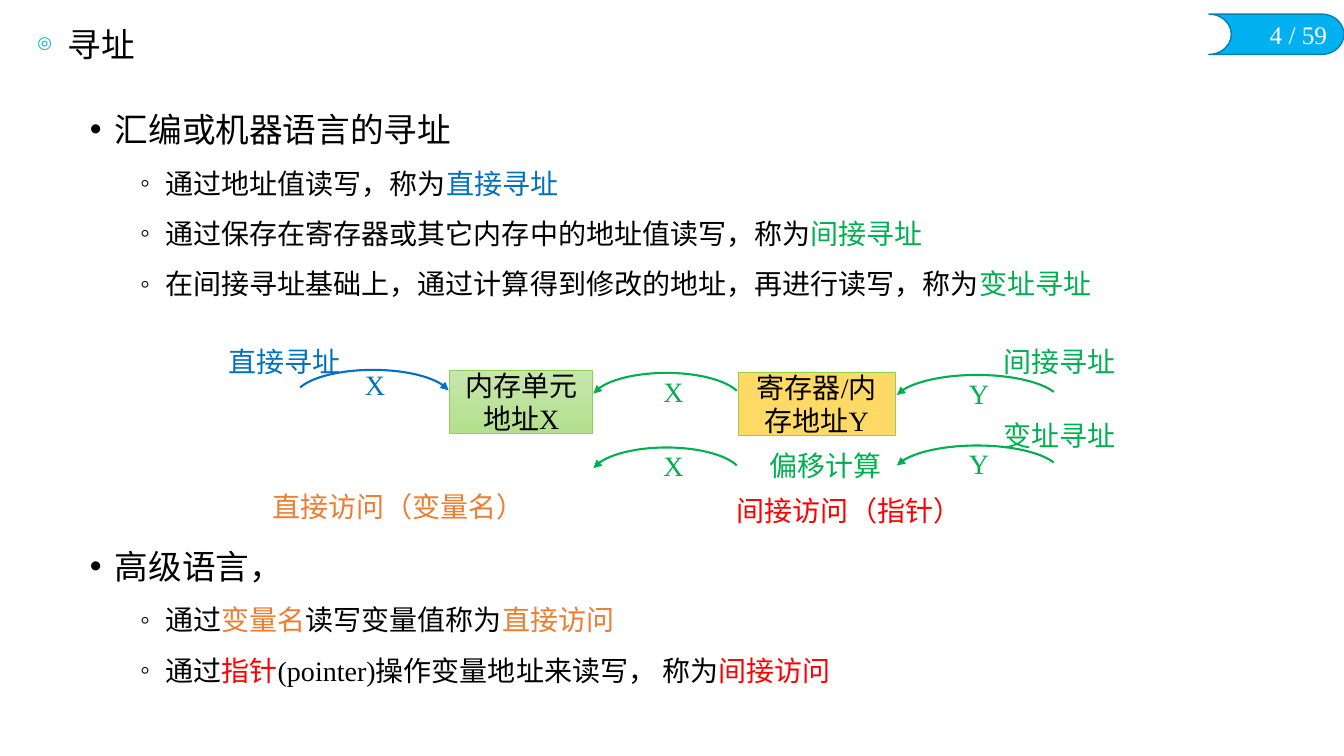
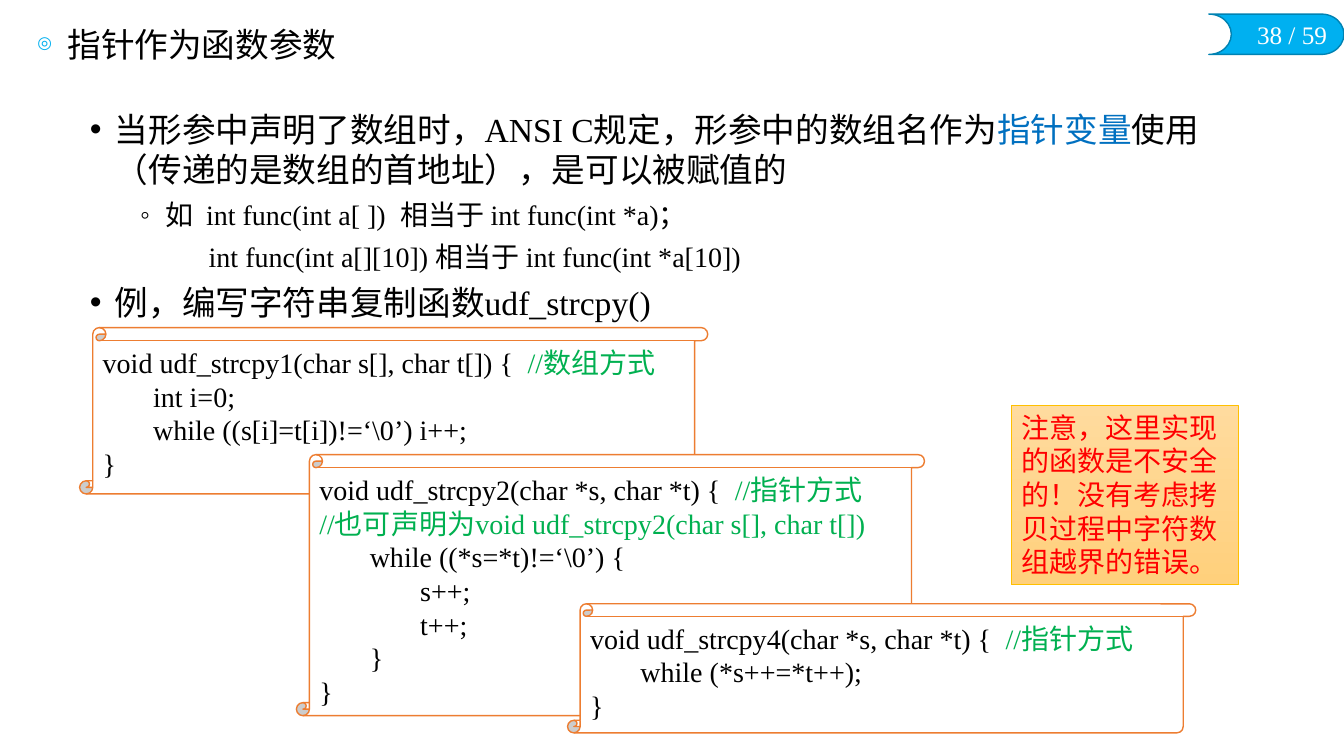
from lxml.etree import SubElement
from pptx import Presentation
from pptx.dml.color import RGBColor
from pptx.enum.lang import MSO_LANGUAGE_ID
from pptx.enum.shapes import MSO_SHAPE
from pptx.enum.text import MSO_ANCHOR, MSO_AUTO_SIZE, PP_ALIGN
from pptx.oxml.ns import qn
from pptx.util import Inches, Pt

BLACK = RGBColor(0x00, 0x00, 0x00)
WHITE = RGBColor(0xFF, 0xFF, 0xFF)
CYAN = RGBColor(0x00, 0xB0, 0xF0)
DARK_CYAN = RGBColor(0x00, 0x82, 0xB2)
BLUE = RGBColor(0x00, 0x70, 0xC0)
GREEN = RGBColor(0x00, 0xB0, 0x50)
ORANGE = RGBColor(0xED, 0x7D, 0x31)
RED = RGBColor(0xFF, 0x00, 0x00)
LIME = RGBColor(0x92, 0xD0, 0x50)
GOLD = RGBColor(0xFF, 0xC0, 0x00)
YELLOW = RGBColor(0xFF, 0xD9, 0x66)
LIME_GRADIENT = (RGBColor(0xC6, 0xE6, 0xAD), RGBColor(0xB3, 0xE0, 0x8D))
GOLD_GRADIENT = (RGBColor(0xFF, 0xDB, 0x9E), RGBColor(0xFF, 0xD0, 0x7C))

FONT = "Times New Roman"
TOTAL = 59
TAB = 0.39
ARC_ANGLES = (112.987, 212.507)


def write(tf, *runs, size=20, color=BLACK, align=PP_ALIGN.LEFT, level=0, indent=(0, 0),
          bullet=None, bullet_color=None, bullet_size=100, before=0, after=0,
          spacing=1.0, tabs=()):
    first = not tf.paragraphs[0].runs
    p = tf.paragraphs[0] if first else tf.add_paragraph()
    pPr = p._p.get_or_add_pPr()
    pPr.set("marL", str(Inches(indent[0])))
    pPr.set("indent", str(Inches(indent[1])))
    if bullet:
        if bullet_color:
            clr = SubElement(pPr, qn("a:buClr"))
            SubElement(clr, qn("a:srgbClr"), val=str(bullet_color))
        SubElement(pPr, qn("a:buSzPct"), val=str(bullet_size * 1000))
        SubElement(pPr, qn("a:buChar"), char=bullet)
    else:
        SubElement(pPr, qn("a:buNone"))
    if tabs:
        tab_list = SubElement(pPr, qn("a:tabLst"))
        for pos in tabs:
            SubElement(tab_list, qn("a:tab"), pos=str(Inches(pos)), algn="l")
    p.level = level
    p.alignment = align
    p.line_spacing = spacing
    p.space_before = Pt(0 if first else before)
    p.space_after = Pt(after)
    for run in runs:
        text, run_color = (run, color) if isinstance(run, str) else run
        r = p.add_run()
        r.text = text
        r.font.name = FONT
        r.font.size = Pt(size)
        r.font.color.rgb = run_color
        r.font.language_id = MSO_LANGUAGE_ID.SIMPLIFIED_CHINESE


def add_box(slide, kind, at, fill, line, weight, adjust=(), flip=False):
    sp = slide.shapes.add_shape(kind, *map(Inches, at))
    sp.shadow.inherit = False
    for i, value in enumerate(adjust):
        sp.adjustments[i] = value
    if fill is None:
        sp.fill.background()
    elif isinstance(fill, RGBColor):
        sp.fill.solid()
        sp.fill.fore_color.rgb = fill
    else:
        sp.fill.gradient()
        sp.fill.gradient_angle = 270
        for stop, color in zip(sp.fill.gradient_stops, fill):
            stop.color.rgb = color
    sp.line.color.rgb = line
    sp.line.width = Pt(weight)
    if flip:
        sp._element.spPr.find(qn("a:xfrm")).set("flipH", "1")
    sp.text_frame.word_wrap = True
    return sp


prs = Presentation()
prs.slide_width = Inches(13.33)
prs.slide_height = Inches(7.5)

layout = prs.slide_layouts[1]
for ph, at, anchor in zip(layout.placeholders,
                          ((0.27, 0.23, 6.37, 0.46), (0.79, 1.03, 11.71, 6.07)),
                          (MSO_ANCHOR.MIDDLE, MSO_ANCHOR.TOP)):
    ph.left, ph.top, ph.width, ph.height = map(Inches, at)
    ph.text_frame.auto_size = MSO_AUTO_SIZE.NONE
    ph.text_frame.vertical_anchor = anchor

slides = []
for page, title in ((4, "寻址"), (38, "指针作为函数参数")):
    s = prs.slides.add_slide(layout)
    add_box(s, MSO_SHAPE.FLOWCHART_STORED_DATA, (11.99, 0.14, 1.34, 0.4),
            CYAN, DARK_CYAN, 1, flip=True)
    tb = s.shapes.add_textbox(*map(Inches, (12.31, 0.14, 0.95, 0.4)))
    tb.text_frame.word_wrap = True
    write(tb.text_frame, f"{page} / {TOTAL}", size=18, color=WHITE, align=PP_ALIGN.RIGHT)
    write(s.shapes.title.text_frame, title, size=24, indent=(0.3, -0.3), spacing=0.9,
          bullet="◎", bullet_color=CYAN, bullet_size=50)
    slides.append(s)
addressing, parameters = slides

point = dict(size=24, indent=(0.25, -0.25), bullet="•", before=6)
detail = dict(level=1, indent=(0.75, -0.25), bullet="◦", before=6)

tf = addressing.placeholders[1].text_frame
write(tf, "汇编或机器语言的寻址", after=6, **point)
for runs in (
    ("通过地址值读写，称为", ("直接寻址", BLUE)),
    ("通过保存在寄存器或其它内存中的地址值读写，称为", ("间接寻址", GREEN)),
    ("在间接寻址基础上，通过计算得到修改的地址，再进行读写，称为", ("变址寻址", GREEN)),
):
    write(tf, *runs, after=6, **detail)
write(tf, "高级语言，", after=6, **{**point, "before": 169})
for runs in (
    ("通过", ("变量名", ORANGE), "读写变量值称为", ("直接访问", ORANGE)),
    ("通过", ("指针", RED), "(pointer)操作变量地址来读写， 称为", ("间接访问", RED)),
):
    write(tf, *runs, after=6, **detail)

for at, fill, lines in (
    ((4.46, 3.67, 1.42, 0.63), LIME_GRADIENT, ("内存单元", "地址X")),
    ((7.32, 3.69, 1.56, 0.63), YELLOW, ("寄存器/内存地址Y",)),
):
    sp = add_box(addressing, MSO_SHAPE.RECTANGLE, at, fill, LIME, 0.5)
    for line in lines:
        write(sp.text_frame, line, align=PP_ALIGN.CENTER)

for x, y, w, color, flip in (
    (2.92, 3.67, 1.56, BLUE, False),
    (5.86, 3.7, 1.5, GREEN, True),
    (8.86, 3.72, 1.66, GREEN, True),
    (5.86, 4.44, 1.5, GREEN, True),
    (8.86, 4.42, 1.66, GREEN, True),
):
    sp = add_box(addressing, MSO_SHAPE.ARC, (x, y, w, 0.56), None, color, 1.5,
                 ARC_ANGLES, flip)
    SubElement(sp.line._get_or_add_ln(), qn("a:tailEnd"), type="triangle")

for x, y, w, text, color in (
    (2.17, 3.37, 1.32, "直接寻址", BLUE),
    (3.52, 3.6, 0.41, "X", BLUE),
    (9.85, 3.37, 1.32, "间接寻址", GREEN),
    (6.48, 3.67, 0.41, "X", GREEN),
    (9.51, 3.69, 0.41, "Y", GREEN),
    (9.85, 4.1, 1.32, "变址寻址", GREEN),
    (6.48, 4.4, 0.41, "X", GREEN),
    (9.51, 4.38, 0.41, "Y", GREEN),
    (7.53, 4.4, 1.32, "偏移计算", GREEN),
    (2.6, 4.81, 2.73, "直接访问（变量名）", ORANGE),
    (7.21, 4.85, 2.45, "间接访问（指针）", RED),
):
    tb = addressing.shapes.add_textbox(*map(Inches, (x, y, w, 0.44)))
    tb.text_frame.word_wrap = True
    write(tb.text_frame, text, color=color)

tf = parameters.placeholders[1].text_frame
write(tf, "当形参中声明了数组时，ANSI C规定，形参中的数组名作为", ("指针变量", BLUE),
      "使用（传递的是数组的首地址），是可以被赋值的", **point)
write(tf, "如  int func(int a[ ])  相当于 int func(int *a)；", **detail)
write(tf, "int func(int a[][10]) 相当于 int func(int *a[10])",
      level=1, indent=(1.18, 0), before=6)
write(tf, "例，编写字符串复制函数udf_strcpy()", **point)

for x, y, h, curl, lines in (
    (0.79, 3.25, 1.65, 0.079, (
        ("void udf_strcpy1(char s[], char t[]) {  ", ("//数组方式", GREEN)),
        ("\tint i=0;",),
        ("\twhile ((s[i]=t[i])!=‘\\0’) i++;",),
        ("}",),
    )),
    (2.94, 4.51, 2.59, 0.05, (
        ("void udf_strcpy2(char *s, char *t) {  ", ("//指针方式", GREEN)),
        (("//也可声明为void udf_strcpy2(char s[], char t[])", GREEN),),
        ("\twhile ((*s=*t)!=‘\\0’) {",),
        ("\t\ts++;",),
        ("\t\tt++;",),
        ("\t}",),
        ("}",),
    )),
    (5.63, 5.99, 1.28, 0.097, (
        ("void udf_strcpy4(char *s, char *t) {  ", ("//指针方式", GREEN)),
        ("\twhile (*s++=*t++);",),
        ("}",),
    )),
):
    sp = add_box(parameters, MSO_SHAPE.VERTICAL_SCROLL, (x, y, 6.23, h),
                 WHITE, ORANGE, 1, (curl,))
    sp.text_frame.vertical_anchor = MSO_ANCHOR.TOP
    for runs in lines:
        write(sp.text_frame, *runs, tabs=(TAB, 2 * TAB))

sp = add_box(parameters, MSO_SHAPE.RECTANGLE, (10.03, 4.02, 2.25, 1.78),
             GOLD_GRADIENT, GOLD, 0.5)
sp.text_frame.vertical_anchor = MSO_ANCHOR.TOP
write(sp.text_frame, "注意，这里实现的函数是不安全的！没有考虑拷贝过程中字符数组越界的错误。", color=RED)

prs.save("out.pptx")
